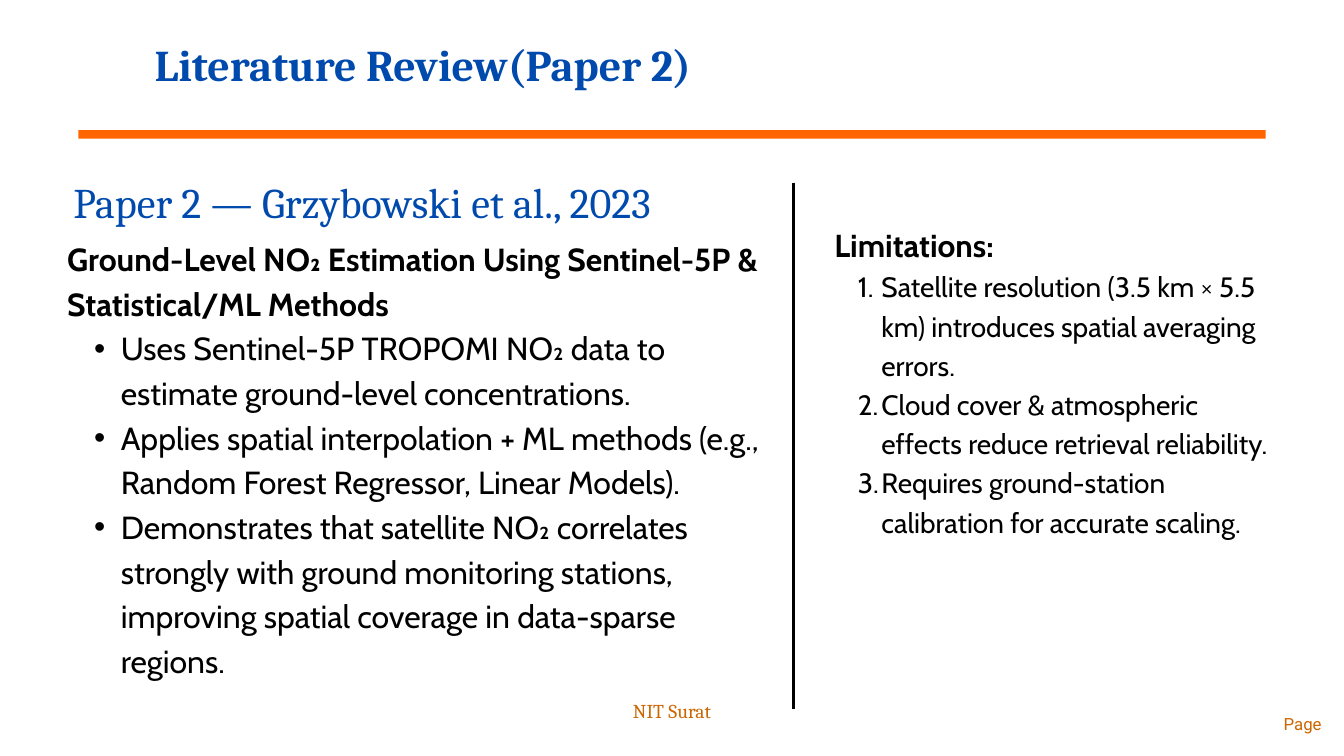
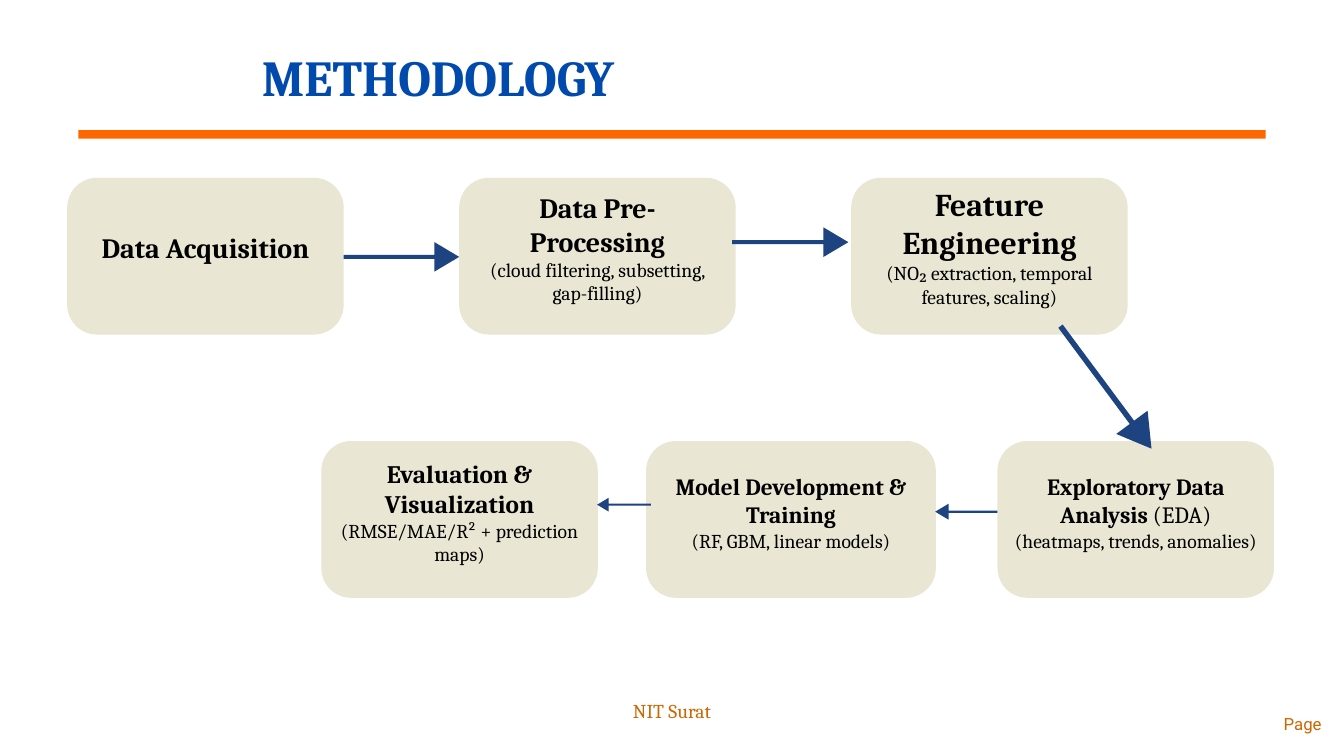
from dataclasses import dataclass
from math import hypot

from lxml.etree import SubElement as Sub
from pptx import Presentation
from pptx.dml.color import RGBColor as Rgb
from pptx.enum.shapes import MSO_CONNECTOR as Link, MSO_SHAPE as Kind
from pptx.enum.text import MSO_ANCHOR as Anchor, PP_ALIGN as Align
from pptx.oxml.ns import qn
from pptx.util import Pt

PX = 9525  # EMU in one px; the slide is 1920 by 1080 px


@dataclass(frozen=True)
class Theme:
    # Colours
    blue: str = "004AAD"
    orange: str = "FF6600"
    rust: str = "CC6600"
    sand: str = "E9E6D3"
    navy: str = "1D4380"
    black: str = "000000"
    # Fonts
    serif: str = "Cambria"
    sans: str = "Cabin"
    plain: str = "Roboto"
    # Type sizes
    title: float = 47
    banner: float = 54
    paper: float = 45.2
    body: float = 34.2
    side: float = 34
    item: float = 30
    note: float = 21
    page: float = 18


def text(frame, words, size, font, color, bold=False, align=Align.LEFT,
         lead=1.2, mark=None, tail=""):
    """Add a paragraph; mark is a bullet sign or "1." and tail is never bold."""
    para = frame.paragraphs[0]
    if para.runs:
        para = frame.add_paragraph()
    para.alignment = align
    para.line_spacing = Pt(size * lead)
    if mark:
        para.level = 1
        props = para._p.get_or_add_pPr()
        hang = round(size * 1.12 * PX)
        props.set("marL", str(2 * hang))
        props.set("indent", str(-hang))
        if mark == "1.":
            Sub(props, qn("a:buAutoNum"), type="arabicPeriod")
        else:
            Sub(props, qn("a:buFont"), typeface="Arial")
            Sub(props, qn("a:buChar"), char=mark)
    for part, heavy in ((words, bold), (tail, False)):
        if part:
            run = para.add_run()
            run.text = part
            run.font.size = Pt(size)
            run.font.name = font
            run.font.bold = heavy
            run.font.color.rgb = Rgb.from_string(color)


class Deck:
    def __init__(self, theme):
        self.theme = theme
        self.file = Presentation()
        self.file.slide_width = 1920 * PX
        self.file.slide_height = 1080 * PX
        self.slide = None

    def page(self, title, size, left, top):
        """Start a slide with its title, rule and footers."""
        look = self.theme
        self.slide = self.file.slides.add_slide(self.file.slide_layouts[6])
        self.shape(Kind.RECTANGLE, 112, 186, 1696, 12, look.orange)
        frame = self.box(left, top, 1350, 179, Anchor.MIDDLE)
        text(frame, title, size, look.serif, look.blue, bold=True,
             align=Align.JUSTIFY)
        text(self.box(1808, 1019, 80, 43), "Page", look.page, look.plain,
             look.rust, align=Align.RIGHT)
        text(self.box(656, 999, 608, 81), "NIT Surat", look.note, look.serif,
             look.rust, align=Align.CENTER)

    def frame(self, frame, anchor, pad=0, lift=0):
        frame.word_wrap = True
        frame.vertical_anchor = anchor
        frame.margin_left = frame.margin_right = frame.margin_top = pad * PX
        frame.margin_bottom = (pad + lift) * PX
        return frame

    def box(self, x, y, w, h, anchor=Anchor.TOP):
        area = self.slide.shapes.add_textbox(x * PX, y * PX, w * PX, h * PX)
        return self.frame(area.text_frame, anchor)

    def paint(self, shape, color):
        shape.shadow.inherit = False
        shape.fill.solid()
        shape.fill.fore_color.rgb = Rgb.from_string(color)
        shape.line.fill.background()
        return shape

    def shape(self, kind, x, y, w, h, color):
        made = self.slide.shapes.add_shape(kind, x * PX, y * PX, w * PX, h * PX)
        return self.paint(made, color)

    def step(self, x, y, w, head, size, tail="", note=""):
        """Add one rounded step, its text set a little above the middle."""
        look = self.theme
        card = self.shape(Kind.ROUNDED_RECTANGLE, x, y, w, 224, look.sand)
        card.adjustments[0] = 0.19
        frame = self.frame(card.text_frame, Anchor.MIDDLE, 6, round(size * 0.8))
        text(frame, head, size, look.serif, look.black, bold=True,
             align=Align.CENTER, tail=tail)
        if note:
            text(frame, note, look.note, look.serif, look.black,
                 align=Align.CENTER)

    def arrow(self, start, tip):
        """Add a block arrow whose head and shaft grow with its length."""
        (x, y), (dx, dy) = start, (tip[0] - start[0], tip[1] - start[1])
        outline = [(0, 0.018), (0.785, 0.018), (0.785, 0.128), (1, 0),
                   (0.785, -0.128), (0.785, -0.018), (0, -0.018)]
        spots = [((x + a * dx - b * dy) * PX, (y + a * dy + b * dx) * PX)
                 for a, b in outline]
        build = self.slide.shapes.build_freeform(*spots[0], scale=1.0)
        build.add_line_segments(spots[1:], close=True)
        self.paint(build.convert_to_shape(), self.theme.navy)

    def line(self, x, top, end, width):
        rule = self.slide.shapes.add_connector(
            Link.STRAIGHT, x * PX, top * PX, x * PX, end * PX)
        rule.line.width = Pt(width)
        rule.line.color.rgb = Rgb.from_string(self.theme.black)
        Sub(rule._element.spPr, qn("a:effectLst"))

    def list(self, frame, head, size, items, small, mark):
        """Fill a frame with a bold heading and marked items."""
        look = self.theme
        text(frame, head, size, look.sans, look.black, bold=True, lead=1.4)
        for item in items:
            text(frame, item, small, look.sans, look.black, lead=1.4, mark=mark)


def review(deck):
    look = deck.theme
    deck.page("Literature Review(Paper 2)", look.title, 221, 2)
    # Paper summary
    text(deck.box(105, 252, 999, 82), "Paper 2 — Grzybowski et al., 2023",
         look.paper, look.serif, look.blue)
    deck.list(
        deck.box(96, 333, 1025, 740),
        "Ground-Level NO₂ Estimation Using Sentinel-5P & Statistical/ML Methods",
        look.body,
        ["Uses Sentinel-5P TROPOMI NO₂ data to estimate ground-level "
         "concentrations.",
         "Applies spatial interpolation + ML methods (e.g., Random Forest "
         "Regressor, Linear Models).",
         "Demonstrates that satellite NO₂ correlates strongly with ground "
         "monitoring stations, improving spatial coverage in data-sparse "
         "regions."],
        look.body, "•")
    # Limitations
    deck.list(
        deck.box(1192, 314, 619, 628), "Limitations:", look.side,
        ["Satellite resolution (3.5 km × 5.5 km) introduces spatial averaging "
         "errors.",
         "Cloud cover & atmospheric effects reduce retrieval reliability.",
         "Requires ground-station calibration for accurate scaling."],
        look.item, "1.")
    deck.line(1134, 261, 1013, 3)


def method(deck):
    deck.page("METHODOLOGY", deck.theme.banner, 374, 19)
    # Upper row, left to right
    upper = [
        ("Data Acquisition", 30, ""),
        ("Data Pre-Processing", 30, "(cloud filtering, subsetting, gap-filling)"),
        ("Feature Engineering", 34,
         "(NO₂ extraction, temporal features, scaling)"),
    ]
    for col, (head, size, note) in enumerate(upper):
        deck.step(96 + 560 * col, 254, 395, head, size, note=note)
    # Lower row
    deck.step(459, 630, 395, "Evaluation & Visualization", 27,
              note="(RMSE/MAE/R² + prediction maps)")
    deck.step(923, 630, 414, "Model Development & Training", 25,
              note="(RF, GBM, linear models)")
    deck.step(1425, 630, 395, "Exploratory Data Analysis", 25, tail=" (EDA)",
              note="(heatmaps, trends, anomalies)")
    # Flow
    for start, tip in [((491, 367), (656, 367)), ((1046, 346), (1212, 346)),
                       ((1515, 466), (1645, 641)), ((1425, 731), (1336, 731)),
                       ((930, 721), (853, 721))]:
        deck.arrow(start, tip)


def main():
    deck = Deck(Theme())
    review(deck)
    method(deck)
    deck.file.save("out.pptx")


if __name__ == "__main__":
    main()
